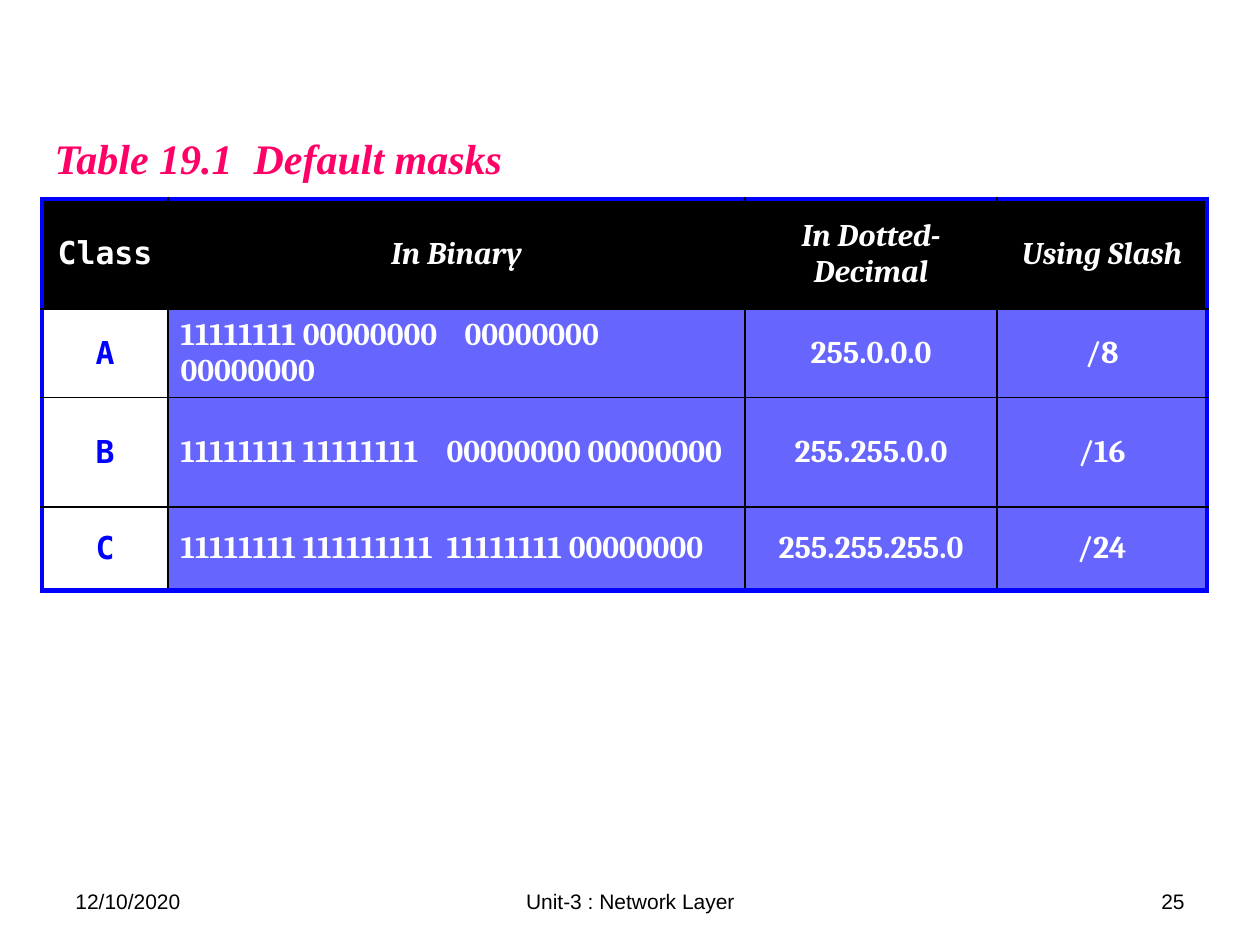
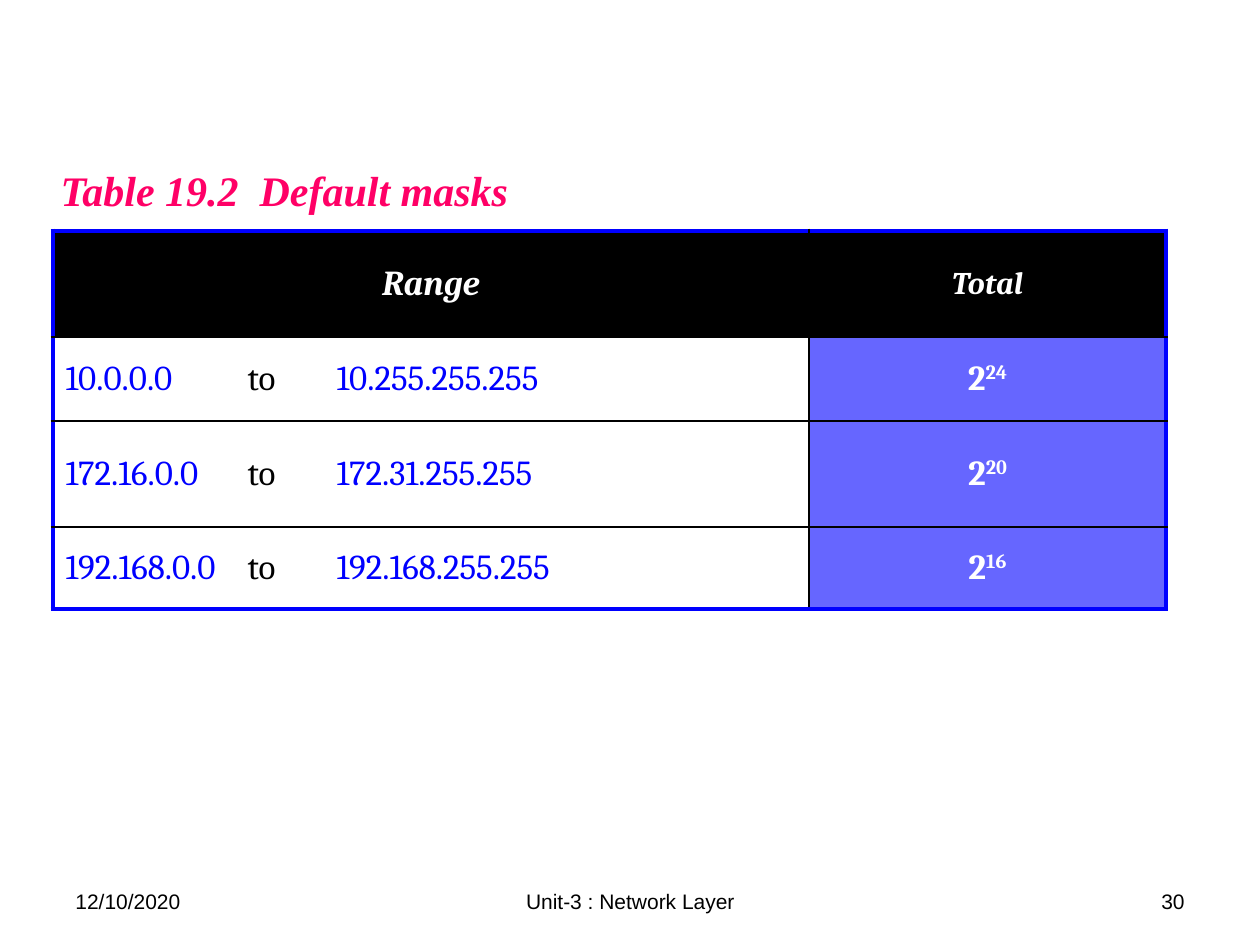
from lxml.etree import SubElement
from pptx import Presentation
from pptx.dml.color import RGBColor
from pptx.enum.text import MSO_ANCHOR, MSO_AUTO_SIZE, PP_ALIGN
from pptx.oxml.ns import qn
from pptx.util import Emu, Pt

EMU_PER_PX = 914400 / 126

BLACK = RGBColor(0, 0, 0)
WHITE = RGBColor(255, 255, 255)
BLUE = RGBColor(0, 0, 255)
LAVENDER = RGBColor(0x66, 0x66, 0xFF)
PINK = RGBColor(0xFF, 0, 0x66)

# Text styles: font, size, colour, bold, italic
TITLE = ("Times New Roman", 24, PINK, True, True)
FOOTER = ("Arial", 12, BLACK, False, False)
HEAD = ("Cambria", 18, WHITE, True, True)
LARGE_HEAD = ("Cambria", 20, WHITE, True, True)
CLASS_HEAD = ("DejaVu Sans Mono", 18, WHITE, True, False)
CLASS_NAME = ("DejaVu Sans Mono", 18, BLUE, True, False)
MASK = ("Cambria", 18, WHITE, True, False)
TOTAL = ("Cambria", 20, WHITE, True, False)
ADDRESS = ("Cambria", 20, BLUE, False, False)
JOINER = ("Cambria", 20, BLACK, False, False)

# Class, binary mask, tab stop of its second half, dotted decimal, slash
MASKS = [
    ("A", "11111111 00000000\t00000000 00000000", 284, "255.0.0.0", "/8"),
    ("B", "11111111 11111111\t00000000 00000000", 266, "255.255.0.0", "/16"),
    ("C", "11111111 111111111\t11111111 00000000", 266, "255.255.255.0", "/24"),
]
# First address, last address, exponent of the total
RANGES = [
    ("10.0.0.0", "10.255.255.255", "24"),
    ("172.16.0.0", "172.31.255.255", "20"),
    ("192.168.0.0", "192.168.255.255", "16"),
]
RANGE_TABS = (182, 271)
FOOTER_TEXTS = [
    ("12/10/2020", 63, 294, PP_ALIGN.LEFT),
    ("Unit-3 : Network Layer", 431, 399, PP_ALIGN.CENTER),
]
PAGE_NUMBER_LEFT, PAGE_NUMBER_WIDTH = 903, 294
FOOTER_TOP, FOOTER_HEIGHT = 876, 50


def px(length):
    return Emu(round(length * EMU_PER_PX))


def style_run(span, style):
    font = span.font
    font.name, size, font.color.rgb, font.bold, font.italic = style
    font.size = Pt(size)


def add_span(para, text, style):
    span = para.add_run()
    span.text = text
    style_run(span, style)
    return span


def set_tabs(para, stops):
    tab_list = SubElement(para._p.get_or_add_pPr(), qn("a:tabLst"))
    for stop in stops:
        SubElement(tab_list, qn("a:tab"), pos=str(px(stop)), algn="l")


def add_title(page, text, left, top):
    title = page.shapes.title
    title.left, title.top, title.width, title.height = map(px, (left, top, 476, 63))
    frame = title.text_frame
    frame.text = text
    frame.word_wrap = False
    frame.auto_size = MSO_AUTO_SIZE.SHAPE_TO_FIT_TEXT
    frame.vertical_anchor = MSO_ANCHOR.TOP
    para = frame.paragraphs[0]
    para.alignment = PP_ALIGN.LEFT
    style_run(para.runs[0], TITLE)


def add_footers(page, number):
    page_number = (number, PAGE_NUMBER_LEFT, PAGE_NUMBER_WIDTH, PP_ALIGN.RIGHT)
    for text, left, width, alignment in FOOTER_TEXTS + [page_number]:
        box = page.shapes.add_textbox(px(left), px(FOOTER_TOP), px(width), px(FOOTER_HEIGHT))
        frame = box.text_frame
        frame.word_wrap = True
        frame.vertical_anchor = MSO_ANCHOR.MIDDLE
        para = frame.paragraphs[0]
        para.alignment = alignment
        add_span(para, text, FOOTER)


def set_border(cell, side, outer):
    """Draw one side: thick blue on the table's edge, thin black inside."""
    line = SubElement(cell._tc.get_or_add_tcPr(), qn(f"a:ln{side}"),
                      w=str(Pt(3 if outer else 1)))
    fill = SubElement(line, qn("a:solidFill"))
    SubElement(fill, qn("a:srgbClr"), val=str(BLUE if outer else BLACK))


def add_grid(page, left, top, widths, heights):
    """Add a bordered table: black head, white first column, lavender rest."""
    frame = page.shapes.add_table(len(heights), len(widths), px(left), px(top),
                                  px(sum(widths)), px(sum(heights)))
    table = frame.table
    table.first_row = table.horz_banding = False
    for column, width in zip(table.columns, widths):
        column.width = px(width)
    for row, height in zip(table.rows, heights):
        row.height = px(height)
    last_row, last_column = len(heights) - 1, len(widths) - 1
    for row in range(len(heights)):
        for column in range(len(widths)):
            cell = table.cell(row, column)
            set_border(cell, "L", column == 0)
            set_border(cell, "R", column == last_column)
            set_border(cell, "T", row == 0)
            set_border(cell, "B", row == last_row)
            cell.fill.solid()
            cell.fill.fore_color.rgb = (
                BLACK if row == 0 else WHITE if column == 0 else LAVENDER)
            cell.vertical_anchor = MSO_ANCHOR.MIDDLE
            cell.text_frame.paragraphs[0].alignment = PP_ALIGN.CENTER
    return table


def cell_para(table, row, column):
    return table.cell(row, column).text_frame.paragraphs[0]


def fill_row(table, row, texts, styles):
    for column, (text, style) in enumerate(zip(texts, styles)):
        add_span(cell_para(table, row, column), text, style)


def build_masks(page):
    add_title(page, "Table 19.1  Default masks", 42, 126)
    table = add_grid(page, 42, 199, (126, 577, 252, 210), (110, 87, 110, 83))
    fill_row(table, 0, ("Class", "In Binary", "In Dotted-Decimal", "Using Slash"),
             (CLASS_HEAD, HEAD, HEAD, HEAD))
    for row, (name, binary, stop, dotted, slash) in enumerate(MASKS, 1):
        fill_row(table, row, (name, binary, dotted, slash),
                 (CLASS_NAME, MASK, MASK, MASK))
        para = cell_para(table, row, 1)
        para.alignment = PP_ALIGN.LEFT
        set_tabs(para, [stop])
    add_footers(page, "25")


def build_ranges(page):
    add_title(page, "Table 19.2  Default masks", 48, 158)
    table = add_grid(page, 53, 231, (756, 357), (106, 84, 106, 82))
    fill_row(table, 0, ("Range", "Total"), (LARGE_HEAD, HEAD))
    for row, (first, last, exponent) in enumerate(RANGES, 1):
        para = cell_para(table, row, 0)
        para.alignment = PP_ALIGN.LEFT
        set_tabs(para, RANGE_TABS)
        for text, style in ((first, ADDRESS), ("\tto\t", JOINER), (last, ADDRESS)):
            add_span(para, text, style)
        total = cell_para(table, row, 1)
        add_span(total, "2", TOTAL)
        power = add_span(total, exponent, TOTAL)
        power.font._rPr.set("baseline", "30000")
    add_footers(page, "30")


def main():
    deck = Presentation()
    deck.slide_width, deck.slide_height = px(1260), px(945)
    title_only = deck.slide_layouts[5]
    for build in (build_masks, build_ranges):
        build(deck.slides.add_slide(title_only))
    deck.save("out.pptx")


if __name__ == "__main__":
    main()
